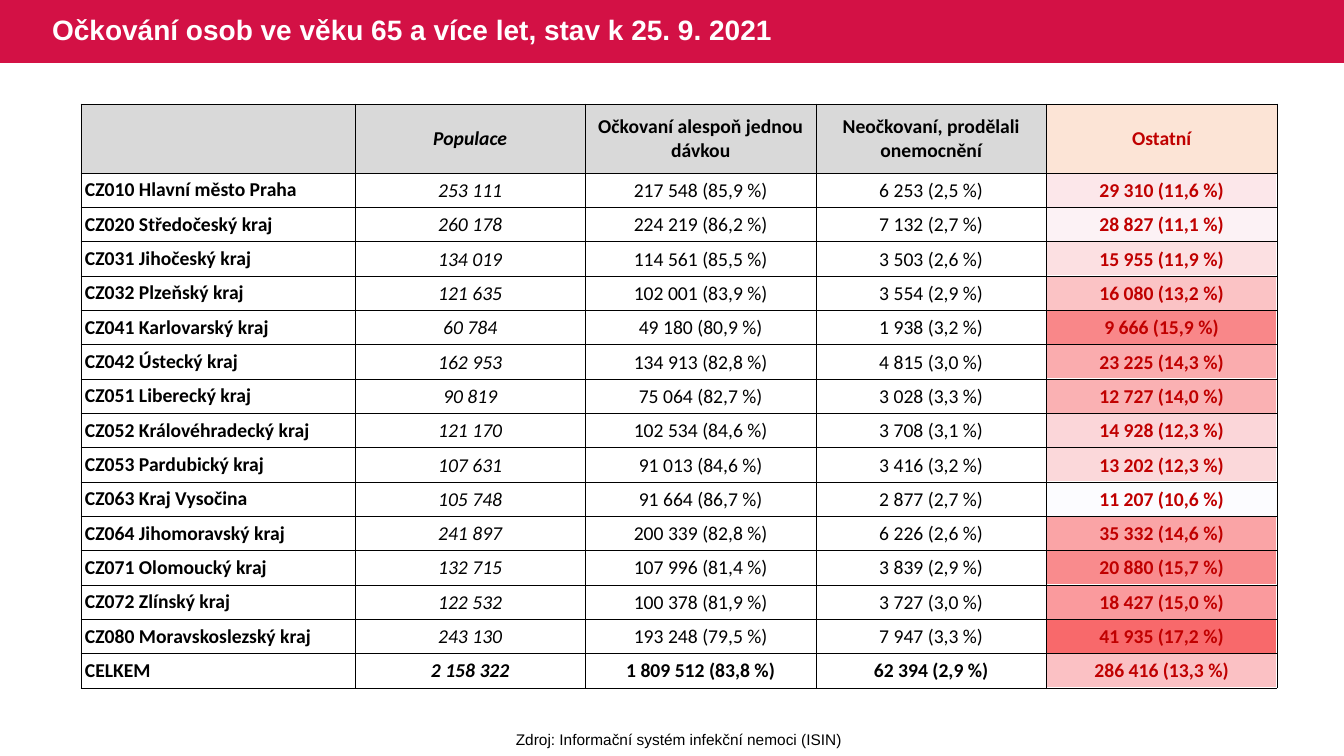
from lxml import etree
from pptx import Presentation
from pptx.dml.color import RGBColor
from pptx.enum.shapes import MSO_SHAPE
from pptx.enum.text import MSO_ANCHOR, MSO_AUTO_SIZE, PP_ALIGN
from pptx.oxml import parse_xml
from pptx.oxml.ns import nsdecls
from pptx.util import Pt

RECT = MSO_SHAPE.RECTANGLE
MIDDLE = MSO_ANCHOR.MIDDLE
LEFT, CENTER = PP_ALIGN.LEFT, PP_ALIGN.CENTER
NO_FIT = MSO_AUTO_SIZE.NONE
PX = 914400 / 100.8

COLORS = {
    "bar": "D31145", "white": "FFFFFF", "black": "000000",
    "header": "D9D9D9", "rest_header": "FCE4D6", "rest": "C00000",
    # Heat shades of the last column, by region code
    "CZ010": "FCE7EA", "CZ020": "FCF2F5", "CZ031": "FCE0E2", "CZ032": "FBC3C5",
    "CZ041": "F98789", "CZ042": "FAACAE", "CZ051": "FAB1B3", "CZ052": "FBD6D9",
    "CZ053": "FBD8DA", "CZ063": "FCFCFF", "CZ064": "FAA4A6", "CZ071": "F98B8D",
    "CZ072": "FA9A9D", "CZ080": "F8696B", "CELKEM": "FBC1C4",
}

ROWS = [
    ("", "Populace", "Očkovaní alespoň jednou dávkou",
     "Neočkovaní, prodělali onemocnění", "Ostatní"),
    ("CZ010 Hlavní město Praha", "253 111", "217 548 (85,9 %)", "6 253 (2,5 %)", "29 310 (11,6 %)"),
    ("CZ020 Středočeský kraj", "260 178", "224 219 (86,2 %)", "7 132 (2,7 %)", "28 827 (11,1 %)"),
    ("CZ031 Jihočeský kraj", "134 019", "114 561 (85,5 %)", "3 503 (2,6 %)", "15 955 (11,9 %)"),
    ("CZ032 Plzeňský kraj", "121 635", "102 001 (83,9 %)", "3 554 (2,9 %)", "16 080 (13,2 %)"),
    ("CZ041 Karlovarský kraj", "60 784", "49 180 (80,9 %)", "1 938 (3,2 %)", "9 666 (15,9 %)"),
    ("CZ042 Ústecký kraj", "162 953", "134 913 (82,8 %)", "4 815 (3,0 %)", "23 225 (14,3 %)"),
    ("CZ051 Liberecký kraj", "90 819", "75 064 (82,7 %)", "3 028 (3,3 %)", "12 727 (14,0 %)"),
    ("CZ052 Královéhradecký kraj", "121 170", "102 534 (84,6 %)", "3 708 (3,1 %)", "14 928 (12,3 %)"),
    ("CZ053 Pardubický kraj", "107 631", "91 013 (84,6 %)", "3 416 (3,2 %)", "13 202 (12,3 %)"),
    ("CZ063 Kraj Vysočina", "105 748", "91 664 (86,7 %)", "2 877 (2,7 %)", "11 207 (10,6 %)"),
    ("CZ064 Jihomoravský kraj", "241 897", "200 339 (82,8 %)", "6 226 (2,6 %)", "35 332 (14,6 %)"),
    ("CZ071 Olomoucký kraj", "132 715", "107 996 (81,4 %)", "3 839 (2,9 %)", "20 880 (15,7 %)"),
    ("CZ072 Zlínský kraj", "122 532", "100 378 (81,9 %)", "3 727 (3,0 %)", "18 427 (15,0 %)"),
    ("CZ080 Moravskoslezský kraj", "243 130", "193 248 (79,5 %)", "7 947 (3,3 %)", "41 935 (17,2 %)"),
    ("CELKEM", "2 158 322", "1 809 512 (83,8 %)", "62 394 (2,9 %)", "286 416 (13,3 %)"),
]


def px(*lengths):
    return [round(n * PX) for n in lengths]


def add_run(p, text, font, size, color, bold=False, italic=False):
    r = p.add_run()
    r.text = text
    r.font.name, r.font.size = font, Pt(size)
    r.font.bold, r.font.italic = bold, italic
    r.font.color.rgb = RGBColor.from_string(COLORS[color])


prs = Presentation()
prs.slide_width, prs.slide_height = px(1344, 756)
s = prs.slides.add_slide(prs.slide_layouts[5])

# Title on a red bar
title = s.shapes.title
title.left, title.top, title.width, title.height = px(42, 0, 835, 63)
tf = title.text_frame
tf.auto_size, tf.word_wrap, tf.vertical_anchor = NO_FIT, True, MIDDLE
p = tf.paragraphs[0]
p.alignment, p.line_spacing = LEFT, 0.9
add_run(p, "Očkování osob ve věku 65 a více let, stav k 25. 9. 2021",
        "Arial", 20, "white", bold=True)

bar = s.shapes.add_shape(RECT, *px(0, 0, 1344, 63))
bar.shadow.inherit = False
bar.fill.solid()
bar.fill.fore_color.rgb = RGBColor.from_string(COLORS["bar"])
bar.line.fill.background()
title.element.addprevious(bar.element)

# Heat table behind the last column, one shade per region
top, head_h, body_h = 104, 69, 515
body_rows = ROWS[1:]
row_h = body_h / len(body_rows)
heat_frame = s.shapes.add_table(len(body_rows), 1, *px(1046, top + head_h, 231, body_h))
title.element.addprevious(heat_frame.element)
heat = heat_frame.table
heat.first_row = heat.horz_banding = False
for i, values in enumerate(body_rows):
    heat.rows[i].height = round(row_h * PX)
    cell = heat.cell(i, 0)
    cell.margin_left = cell.margin_right = cell.margin_top = cell.margin_bottom = 0
    cell.fill.solid()
    cell.fill.fore_color.rgb = RGBColor.from_string(COLORS[values[0].split()[0]])

# Data table: one tall header row, then equal rows
label_w, table_w = 274, 1196
value_w = (table_w - label_w) / 4
table = s.shapes.add_table(len(ROWS), 5, *px(81, top, table_w, head_h + body_h)).table
table.first_row = table.horz_banding = False
for column, width in zip(table.columns, px(label_w, *[value_w] * 4)):
    column.width = width
for row, height in zip(table.rows, px(head_h, *[row_h] * len(body_rows))):
    row.height = height

for i, values in enumerate(ROWS):
    header, total = i == 0, i == len(ROWS) - 1
    for j, text in enumerate(values):
        cell = table.cell(i, j)
        label, rest = j == 0, j == 4
        side = 4 if header or label else 1
        cell.margin_left, cell.margin_right = px(side, side)
        cell.margin_top, cell.margin_bottom = px(0 if side == 4 else 1, 0)
        cell.vertical_anchor = MIDDLE

        # Thin black borders
        tcPr = cell._tc.get_or_add_tcPr()
        for edge in ("lnL", "lnR", "lnT", "lnB"):
            ln = parse_xml(f'<a:{edge} {nsdecls("a")} w="{Pt(0.5)}"/>')
            fill = etree.SubElement(ln, ln.tag.replace(edge, "solidFill"))
            etree.SubElement(fill, ln.tag.replace(edge, "srgbClr"), val=COLORS["black"])
            tcPr.append(ln)

        # Filled header, clear body
        if header:
            cell.fill.solid()
            cell.fill.fore_color.rgb = RGBColor.from_string(
                COLORS["rest_header" if rest else "header"])
        else:
            cell.fill.background()

        if text:
            p = cell.text_frame.paragraphs[0]
            p.alignment = LEFT if label else CENTER
            add_run(p, text, "Calibri", 14, "rest" if rest else "black",
                    bold=header or total or label or rest, italic=j == 1)

# Source line
tf = s.shapes.add_textbox(*px(505, 725, 348, 29)).text_frame
tf.word_wrap = False
p = tf.paragraphs[0]
p.alignment = CENTER
add_run(p, "Zdroj: Informační systém infekční nemoci (ISIN)", "Arial", 11, "black")

prs.save("out.pptx")
